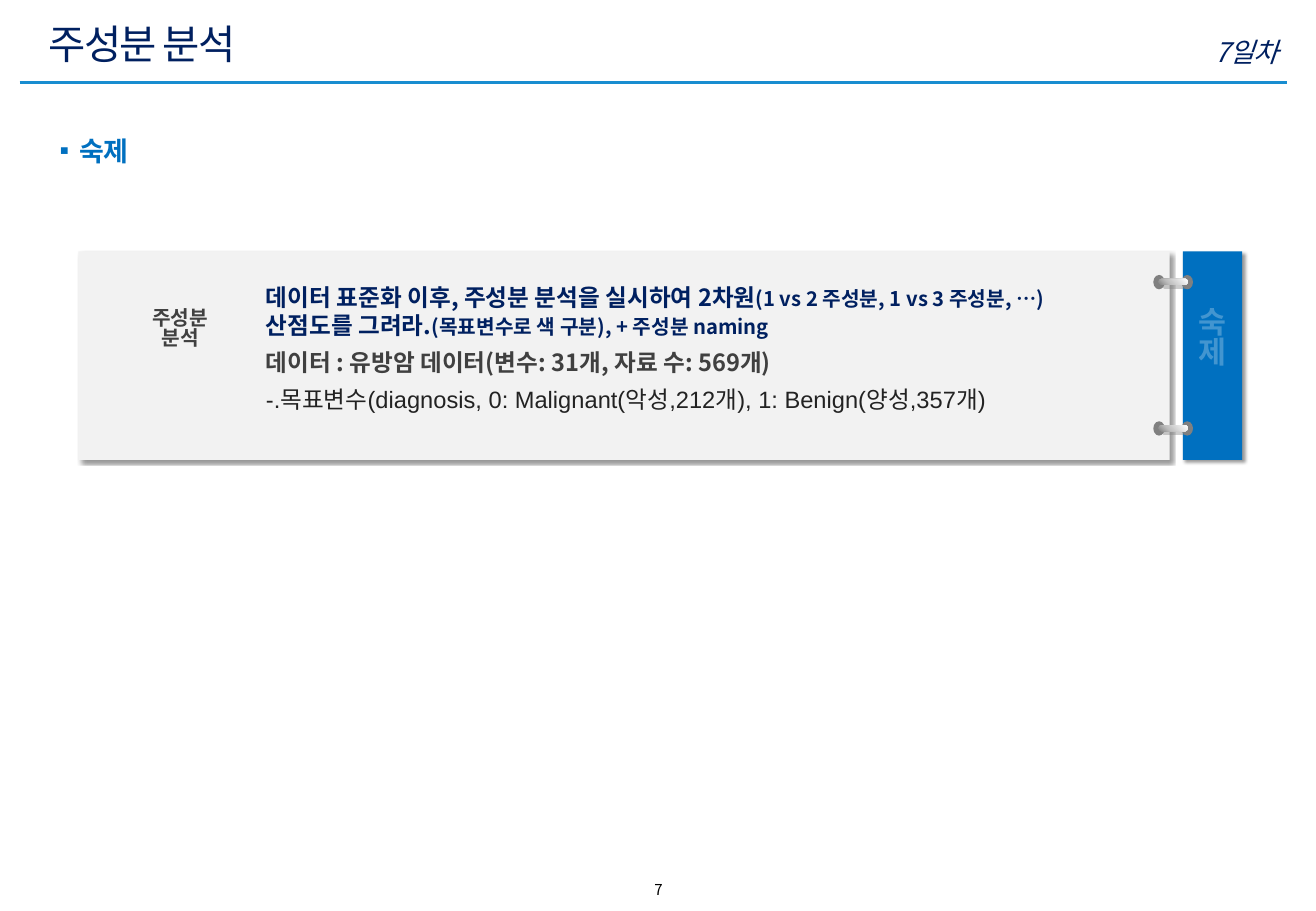
from lxml import etree
from pptx import Presentation
from pptx.dml.color import RGBColor
from pptx.enum import shapes, text
from pptx.oxml import parse_xml
from pptx.oxml.ns import qn
from pptx.util import Cm, Pt

FONT = "Noto Sans CJK KR"
NAVY = RGBColor(0x00, 0x20, 0x60)
BLUE = RGBColor(0x00, 0x70, 0xC0)
SKY = RGBColor(0x18, 0x8D, 0xD0)
PANEL = RGBColor(0xF2, 0xF2, 0xF2)
GRAY = RGBColor(0x80, 0x80, 0x80)
DARK = RGBColor(0x40, 0x40, 0x40)
INK = RGBColor(0x22, 0x22, 0x22)
BLACK = RGBColor(0x00, 0x00, 0x00)
WHITE = RGBColor(0xFF, 0xFF, 0xFF)
NS = 'xmlns:a="http://schemas.openxmlformats.org/drawingml/2006/main"'
SHAPE, ALIGN = shapes.MSO_SHAPE, text.PP_ALIGN


def style(r, size, color, bold=False, latin=FONT):
    f = r.font
    f.size, f.bold, f.name = Pt(size), bold, latin
    f.color.rgb = color
    etree.SubElement(r._r.get_or_add_rPr(), qn("a:ea"), typeface=FONT)


def add_block(kind, box, color, shadow=None):
    """Add a borderless shape; shadow is (colour, blur, distance) in points."""
    sp = s.shapes.add_shape(kind, *map(Cm, box))
    sp.shadow.inherit = False
    sp.fill.solid()
    sp.fill.fore_color.rgb = color
    sp.line.fill.background()
    if shadow:
        shade, blur, dist = shadow
        sp._element.spPr.find(qn("a:effectLst")).append(parse_xml(
            f'<a:outerShdw {NS} blurRad="{Pt(blur)}" dist="{Pt(dist)}" dir="2700000" '
            f'algn="tl" rotWithShape="0"><a:srgbClr val="{shade}">'
            '<a:alpha val="40000"/></a:srgbClr></a:outerShdw>'))
    return sp


prs = Presentation()
prs.slide_width, prs.slide_height = Cm(27.51), Cm(19.05)
s = prs.slides.add_slide(prs.slide_layouts[1])

# Header
rule = s.shapes.add_connector(
    shapes.MSO_CONNECTOR.STRAIGHT, Cm(0.41), Cm(1.73), Cm(26.9), Cm(1.73))
rule.line.color.rgb, rule.line.width = SKY, Pt(2)
etree.SubElement(rule._element.spPr, qn("a:effectLst"))

title, body = s.shapes.title, s.placeholders[1]
for sp, box in ((title, (0.76, 0.28, 21.62, 1.27)), (body, (0.99, 2.62, 24.94, 1.24))):
    sp.left, sp.top, sp.width, sp.height = map(Cm, box)
    sp.text_frame.auto_size = text.MSO_AUTO_SIZE.NONE

tf = title.text_frame
tf.text = "주성분 분석"
tf.vertical_anchor = text.MSO_ANCHOR.MIDDLE
p = tf.paragraphs[0]
p.alignment = ALIGN.LEFT
style(p.runs[0], 24, NAVY)
p.runs[0]._r.rPr.set("spc", "-100")

# Section bullet
tf = body.text_frame
tf.text = "숙제"
p = tf.paragraphs[0]
p.alignment, p.line_spacing, p.space_before = ALIGN.JUSTIFY, 1.1, Pt(0)
pPr = p._p.get_or_add_pPr()
pPr.set("marL", str(Cm(0.41)))
pPr.set("indent", str(-Cm(0.41)))
bullet_color = etree.SubElement(pPr, qn("a:buClr"))
etree.SubElement(bullet_color, qn("a:srgbClr"), val=str(BLUE))
etree.SubElement(pPr, qn("a:buChar"), char="▪")
style(p.runs[0], 16, BLUE, True)

# Card, tab and binder rings
for box, color in (((1.64, 5.26, 22.81, 4.36), PANEL), ((24.73, 5.26, 1.24, 4.36), BLUE)):
    add_block(SHAPE.RECTANGLE, box, color, (BLACK, 2, 2))

for y in (5.9, 8.96):
    for x in (24.23, 24.82):
        add_block(SHAPE.OVAL, (x - 0.12, y - 0.15, 0.24, 0.3), GRAY)
    bar = add_block(SHAPE.ROUNDED_RECTANGLE, (24.22, y - 0.07, 0.61, 0.13), GRAY, (GRAY, 0, 3))
    bar.adjustments[0] = 0.5
    spPr = bar._element.spPr
    spPr.replace(spPr.find(qn("a:solidFill")), parse_xml(
        f'<a:gradFill {NS} rotWithShape="1"><a:gsLst>'
        '<a:gs pos="0"><a:srgbClr val="808080"/></a:gs>'
        '<a:gs pos="35000"><a:srgbClr val="BFBFBF"/></a:gs>'
        '<a:gs pos="100000"><a:srgbClr val="FFFFFF"/></a:gs>'
        '</a:gsLst><a:lin ang="18900000" scaled="0"/></a:gradFill>'))

# Short texts: box, lines, size, colour, bold, italic, alignment, line spacing
labels = [
    ((11.15, 18.29, 5.23, 0.64), ["7"], 8.9, BLACK, False, False, ALIGN.CENTER, 1),
    ((16.64, 0.61, 10.34, 0.76), ["7일차"], 16, NAVY, False, True, ALIGN.RIGHT, 1),
    ((24.79, 6.35, 1.12, 2.39), ["숙", "제"], 18, WHITE, True, False, ALIGN.CENTER, 0.82),
    ((2.9, 6.35, 1.73, 1.7), ["주성분", "분석"], 12, DARK, True, False, ALIGN.CENTER, 0.82),
]
for box, lines, size, color, bold, italic, align, spacing in labels:
    tf = s.shapes.add_textbox(*map(Cm, box)).text_frame
    tf.word_wrap = len(lines) == 1
    tf.text = "\n".join(lines)
    for p in tf.paragraphs:
        p.alignment, p.line_spacing = align, spacing
        r = p.runs[0]
        style(r, size, color, bold)
        r.font.italic = italic
        if color == WHITE:
            rPr = r._r.rPr
            etree.SubElement(rPr.find(qn("a:solidFill"))[0], qn("a:alpha"), val="26000")
            rPr.insert(0, parse_xml(
                f'<a:ln {NS} w="9525"><a:solidFill><a:srgbClr val="{BLUE}">'
                '<a:alpha val="26000"/></a:srgbClr></a:solidFill></a:ln>'))

# Assignment text: runs of words, size, colour, bold, Latin font
assignment = [
    [("데이터 표준화 이후, 주성분 분석을 실시하여 2차원", 14, NAVY, True, FONT),
     ("(1 vs 2 주성분, 1 vs 3 주성분, …)", 12, NAVY, True, FONT),
     (" 산점도를 그려라.", 14, NAVY, True, FONT),
     ("(목표변수로 색 구분), + 주성분 naming", 12, NAVY, True, FONT)],
    [("데이터 : 유방암 데이터(변수: 31개, 자료 수: 569개)", 14, DARK, True, FONT)],
    [("-.목표변수(diagnosis, 0: Malignant(악성,212개), 1: Benign(양성,357개)",
      14, INK, False, "Arial")],
]
tf = s.shapes.add_textbox(Cm(5.31), Cm(5.79), Cm(18.62), Cm(4.52)).text_frame
tf.word_wrap = True
for i, runs in enumerate(assignment):
    p = tf.add_paragraph() if i else tf.paragraphs[0]
    p.line_spacing, p.space_before = 1, Pt(5 if i else 0)
    for words, *look in runs:
        r = p.add_run()
        r.text = words
        style(r, *look)

prs.save("out.pptx")
